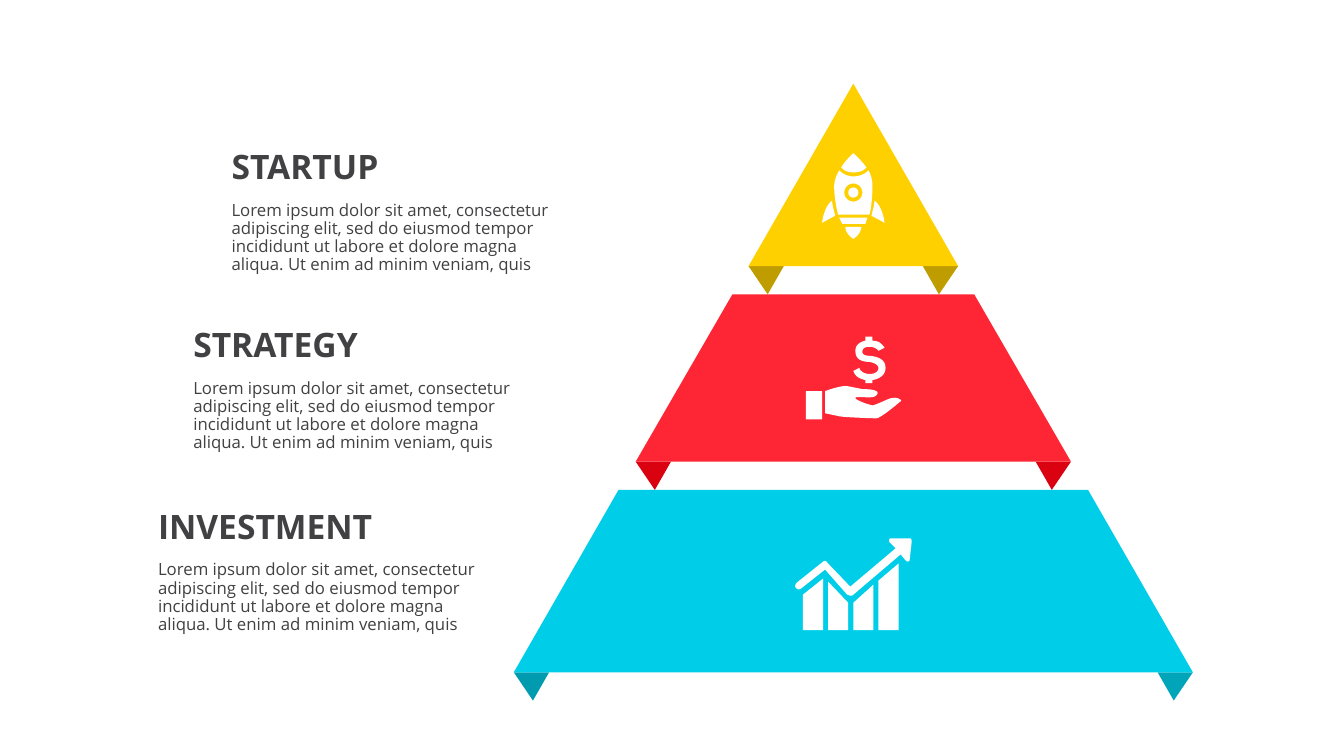
import math
from dataclasses import dataclass

from pptx import Presentation
from pptx import util as u
from pptx.dml.color import RGBColor

PX = 9144  # EMU in one px, 100 px to the inch
AXIS = 847  # horizontal centre of the pyramid
CURVE_STEPS = 8


@dataclass(frozen=True)
class Theme:
    font: str = "Open Sans"
    ink: str = "414042"
    icon: str = "FFFFFF"
    heading_pt: int = 24
    body_pt: int = 12


@dataclass(frozen=True)
class Tier:
    heading: str
    text_left: int
    text_top: int
    top: int
    bottom: int
    half_top: int
    half_bottom: int
    face: str
    left_fold: str
    right_fold: str


THEME = Theme()
BODY = ("Lorem ipsum dolor sit amet, consectetur adipiscing elit, sed do eiusmod tempor "
        "incididunt ut labore et dolore magna aliqua. Ut enim ad minim veniam, quis")
TIERS = [
    Tier("STARTUP", 220, 144, 83, 264, 0, 104, "FFD000", "BF9C00", "BF9C00"),
    Tier("STRATEGY", 182, 321, 292, 458, 120, 216, "FE2635", "DA0110", "DA0110"),
    Tier("INVESTMENT", 147, 501, 486, 667, 233, 337, "00CEE8", "009BAE", "00A5BA"),
]


def circle(cx, cy, radius, count=32):
    turns = [2 * math.pi * i / count for i in range(count)]
    return [(cx + radius * math.cos(t), cy + radius * math.sin(t)) for t in turns]


def mirrored(outline):
    """Reflect an outline of points and curves across the pyramid's axis."""
    return [tuple(2 * AXIS - v if i % 2 == 0 else v for i, v in enumerate(step))
            for step in outline]


def flatten(outline):
    """Turn steps of 2 numbers (point) or 6 (cubic curve) into points in EMU."""
    points = []
    for step in outline:
        if len(step) == 2:
            points.append(step)
            continue
        x0, y0 = points[-1]
        x1, y1, x2, y2, x3, y3 = step
        for i in range(1, CURVE_STEPS + 1):
            t = i / CURVE_STEPS
            a, b, c, d = (1 - t) ** 3, 3 * t * (1 - t) ** 2, 3 * t * t * (1 - t), t ** 3
            points.append((a * x0 + b * x1 + c * x2 + d * x3,
                           a * y0 + b * y1 + c * y2 + d * y3))
    return [(round(x * PX), round(y * PX)) for x, y in points]


def add_outline(slide, outlines, colour):
    """Draw all outlines as one filled shape; inner outlines become holes."""
    first, *others = [flatten(outline) for outline in outlines]
    builder = slide.shapes.build_freeform(*first[0])
    builder.add_line_segments(first[1:], close=True)
    for points in others:
        builder.move_to(*points[0])
        builder.add_line_segments(points[1:], close=True)
    shape = builder.convert_to_shape()
    shape.shadow.inherit = False
    shape.fill.solid()
    shape.fill.fore_color.rgb = RGBColor.from_string(colour)
    shape.line.fill.background()


def add_tier(slide, tier):
    outer = AXIS - tier.half_bottom
    fold = [(outer, tier.bottom), (outer + 19, tier.bottom + 28), (outer + 35, tier.bottom)]
    add_outline(slide, [fold], tier.left_fold)
    add_outline(slide, [mirrored(fold)], tier.right_fold)
    slope = [(AXIS - tier.half_top, tier.top), (outer, tier.bottom)]
    add_outline(slide, [slope + mirrored(slope)[::-1]], tier.face)


def add_text(slide, words, left, top, width, height, size, bold=False):
    box = slide.shapes.add_textbox(*(v * PX for v in (left, top, width, height)))
    box.text_frame.word_wrap = True
    paragraph = box.text_frame.paragraphs[0]
    paragraph.text = words
    paragraph.line_spacing = 0.9
    paragraph.space_before = u.Pt(10)
    font = paragraph.font
    font.name, font.size, font.bold = THEME.font, u.Pt(size), bold
    font.color.rgb = RGBColor.from_string(THEME.ink)


def add_rocket(slide):
    nose = [(847, 171), (843, 171, 838, 170, 835, 166), (840, 158, 847, 152, 847, 152),
            (847, 152, 854, 158, 860, 166), (857, 170, 852, 171, 847, 171)]
    hull = [(866, 185), (866, 193, 865, 207, 863, 213), (832, 213),
            (830, 207, 828, 193, 828, 185), (828, 180, 830, 174, 833, 169),
            (837, 173, 842, 175, 847, 175), (853, 175, 858, 173, 862, 169),
            (865, 174, 866, 180, 866, 185)]
    skirt = [(833, 216), (836, 222), (859, 222), (861, 216)]
    flame = [(839, 225), (839, 232, 847, 237, 847, 237), (847, 237, 855, 232, 855, 225)]
    fin = [(826, 199), (821, 202, 817, 212, 816, 221), (829, 214),
           (828, 209, 826, 204, 826, 199)]
    add_outline(slide, [nose, hull, circle(AXIS, 191, 9), circle(AXIS, 191, 5),
                        skirt, flame, fin, mirrored(fin)], THEME.icon)


def add_hand_with_dollar(slide):
    dollar = [(866, 377), (866, 380), (859, 380), (859, 377),
              (854, 376, 849, 374, 847, 368), (853, 365),
              (854, 369, 859, 371, 863, 371), (868, 371, 872, 369, 872, 365),
              (872, 362, 868, 360, 863, 359), (856, 359, 849, 357, 849, 348),
              (849, 342, 854, 339, 859, 338), (859, 334), (866, 334), (866, 338),
              (871, 338, 875, 340, 878, 345), (872, 348),
              (871, 346, 867, 344, 863, 344), (858, 344, 856, 346, 856, 349),
              (856, 352, 859, 353, 864, 353), (871, 354, 879, 356, 879, 365),
              (879, 372, 873, 376, 866, 377)]
    hand = [(891, 395), (884, 393, 879, 398, 867, 402), (866, 403, 849, 397, 849, 395),
            (848, 392, 865, 396, 869, 393), (875, 388, 868, 386, 856, 386),
            (856, 386, 851, 385, 841, 383), (835, 382, 819, 388, 819, 388), (819, 410),
            (819, 410, 829, 412, 833, 413), (839, 414, 866, 415, 870, 415),
            (874, 415, 893, 399, 894, 398), (895, 397, 895, 397, 891, 395)]
    cuff = [(800, 416), (816, 416), (816, 388), (800, 388)]
    add_outline(slide, [dollar, hand, cuff], THEME.icon)


def add_growth_chart(slide):
    bar_tops = [[(590, 574)], [(577, 598)], [(598, 580)], [(576, 559)]]
    bars = []
    for i, [(left_top, right_top)] in enumerate(bar_tops):
        left = 797 + 25 * i
        bars.append([(left, 625), (left, left_top), (left + 20, right_top), (left + 20, 625)])
    arrow = [(903, 534), (884, 534), (883, 534, 882, 536, 883, 538), (889, 544), (844, 582),
             (821, 558), (820, 556, 818, 556, 816, 558), (791, 578),
             (789, 580, 789, 582, 790, 583), (791, 585, 794, 585, 795, 584), (819, 565),
             (841, 590), (842, 590, 843, 591, 844, 591), (845, 591, 846, 591, 847, 590),
             (894, 550), (899, 556), (901, 558, 903, 557, 903, 555), (905, 537),
             (905, 535, 904, 534, 903, 534)]
    add_outline(slide, bars + [arrow], THEME.icon)


def main():
    deck = Presentation()
    deck.slide_width, deck.slide_height = 1334 * PX, 750 * PX
    slide = deck.slides.add_slide(deck.slide_layouts[6])
    for tier in TIERS:
        add_tier(slide, tier)
    add_hand_with_dollar(slide)
    add_rocket(slide)
    add_growth_chart(slide)
    for tier in TIERS:
        add_text(slide, tier.heading, tier.text_left, tier.text_top, 269, 51,
                 THEME.heading_pt, bold=True)
        add_text(slide, BODY, tier.text_left, tier.text_top + 51, 341, 107, THEME.body_pt)
    deck.save("out.pptx")


if __name__ == "__main__":
    main()
